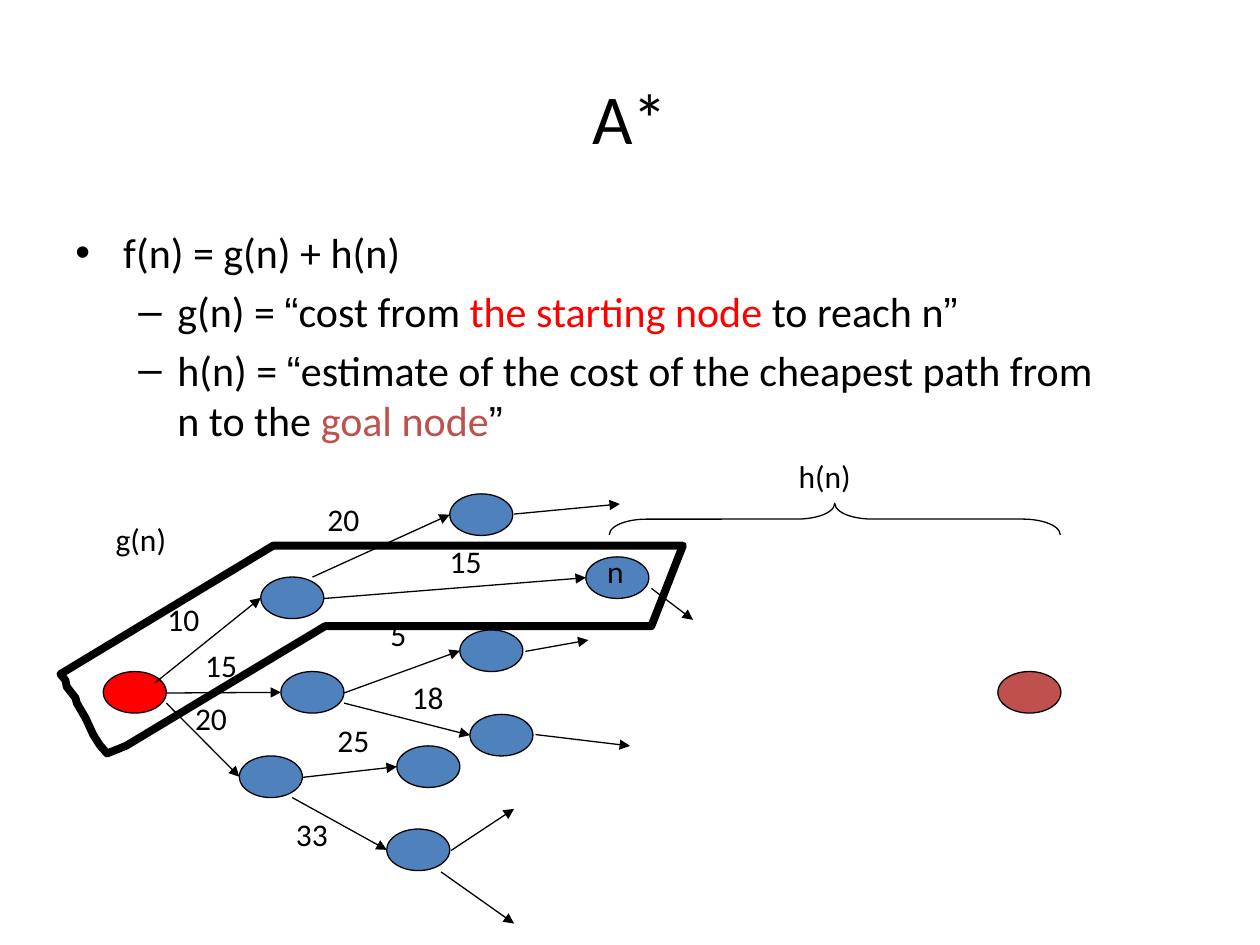
"""Build the A* slide: the cost formula above a search tree with its g(n) and h(n) parts."""
from lxml.etree import SubElement
from pptx import Presentation
from pptx.dml.color import RGBColor
from pptx.enum.shapes import MSO_CONNECTOR as Connector, MSO_SHAPE as Shape
from pptx.enum.text import MSO_ANCHOR as Anchor, PP_ALIGN as Align
from pptx.oxml.ns import qn
from pptx.util import Inches, Pt

COLORS = {"black": "000000", "red": "FF0000", "brick": "C0504D", "blue": "4F81BD"}
BODY = [
    (0, [("f(n) = g(n) + h(n)", "Calibri", "black")]),
    (1, [("g(n) = ", "Calibri", "black"), ("“", "Arial", "black"),
         ("cost from ", "Calibri", "black"), ("the starting node", "Calibri", "red"),
         (" to reach n", "Calibri", "black"), ("”", "Arial", "black")]),
    (1, [("h(n) = ", "Calibri", "black"), ("“", "Arial", "black"),
         ("estimate of the cost of the cheapest path from n to the ", "Calibri", "black"),
         ("goal node", "Calibri", "brick"), ("”", "Arial", "black")]),
]
LEVELS = [("•", 0.38, -0.38, 0), ("–", 0.81, -0.31, 4.8)]

NODE_WIDTH, NODE_HEIGHT = 0.5, 0.33
NODES = {
    "start": (0.82, 5.33, "red"),
    "goal": (7.92, 5.33, "brick"),
    "upper": (2.07, 4.58, "blue"),
    "middle": (2.23, 5.33, "blue"),
    "lower": (1.9, 6, "blue"),
    "upper top": (3.57, 3.92, "blue"),
    "n": (4.65, 4.42, "blue"),
    "middle top": (3.65, 5, "blue"),
    "middle bottom": (3.73, 5.67, "blue"),
    "lower top": (3.15, 5.92, "blue"),
    "lower bottom": (3.07, 6.58, "blue"),
}
RIGHT, LOWER_RIGHT = (0.5, 0.17), (0.5, 0.25)
EDGES = [
    ("start", (0.41, 0.09), "upper", "10", (1.23, 4.71)),
    ("start", RIGHT, "middle", "15", (1.53, 5.08)),
    ("start", LOWER_RIGHT, "lower", "20", (1.45, 5.5)),
    ("upper", (0.41, 0), "upper top", "20", (2.5, 3.92)),
    ("upper", RIGHT, "n", "15", (3.47, 4.25)),
    ("middle", RIGHT, "middle top", "5", (3, 4.83)),
    ("middle", LOWER_RIGHT, "middle bottom", "18", (3.17, 5.33)),
    ("lower", RIGHT, "lower top", "25", (2.58, 5.67)),
    ("lower", (0.42, 0.33), "lower bottom", "33", (2.25, 6.42)),
]
OPEN_EDGES = [
    ("lower bottom", (0.51, 0.17), (4.08, 6.42)),
    ("lower bottom", (0.43, 0.34), (4.08, 7.33)),
    ("middle bottom", (0.52, 0.16), (5, 5.92)),
    ("middle top", (0.52, 0.17), (4.67, 5.08)),
    ("n", (0.52, 0.25), (5.5, 4.92)),
    ("upper top", (0.51, 0.16), (4.92, 4)),
]
CAPTIONS = [("n", 4.72, 4.33, 0.37), ("g(n)", 0.82, 4.08, 0.76), ("h(n)", 6.24, 3.58, 0.76)]
PATH_OUTLINE = [
    (0.85, 5.98), (0.79, 5.91), (0.74, 5.83), (0.68, 5.7), (0.61, 5.58), (0.6, 5.54),
    (0.53, 5.45), (0.52, 5.4), (0.48, 5.35), (2.17, 4.33), (5.42, 4.33), (5.17, 4.97),
    (2.58, 4.97), (1, 5.92),
]


def color(name):
    return RGBColor.from_string(COLORS[name])


def add_run(paragraph, text, size, font="Calibri", tint="black"):
    run = paragraph.add_run()
    run.text = text
    run.font.size = Pt(size)
    run.font.name = font
    run.font.color.rgb = color(tint)


def add_text_frame(slide, left, top, width, height):
    box = slide.shapes.add_textbox(Inches(left), Inches(top), Inches(width), Inches(height))
    box.text_frame.word_wrap = True
    return box.text_frame


def add_label(slide, text, left, top, width=0.53):
    frame = add_text_frame(slide, left, top, width, 0.5)
    add_run(frame.paragraphs[0], text, 18)


def add_body(slide):
    frame = add_text_frame(slide, 0.5, 1.75, 8.5, 4.5)
    for index, (level, runs) in enumerate(BODY):
        paragraph = frame.add_paragraph() if index else frame.paragraphs[0]
        bullet, margin, indent, space = LEVELS[level]
        paragraph.level = level
        paragraph.space_before = Pt(space)
        properties = paragraph._p.get_or_add_pPr()
        properties.set("marL", str(Inches(margin)))
        properties.set("indent", str(Inches(indent)))
        SubElement(properties, qn("a:buFont"), typeface="Arial")
        SubElement(properties, qn("a:buChar"), char=bullet)
        for text, font, tint in runs:
            add_run(paragraph, text, 24, font, tint)


def style_shape(shape, fill=None, line_width=0.75):
    shape.shadow.inherit = False
    if fill:
        shape.fill.solid()
        shape.fill.fore_color.rgb = color(fill)
    else:
        shape.fill.background()
    shape.line.color.rgb = color("black")
    shape.line.width = Pt(line_width)


def add_arrow(slide, node, offset, end):
    start = [NODES[node][axis] + offset[axis] for axis in (0, 1)]
    arrow = slide.shapes.add_connector(
        Connector.STRAIGHT, *[Inches(value) for value in (*start, *end)])
    arrow.line.color.rgb = color("black")
    arrow.line.width = Pt(0.75)
    properties = arrow._element.spPr
    SubElement(properties.find(qn("a:ln")), qn("a:tailEnd"), type="triangle")
    SubElement(properties, qn("a:effectLst"))


def add_tree(slide):
    for left, top, fill in NODES.values():
        node = slide.shapes.add_shape(Shape.OVAL, Inches(left), Inches(top),
                                      Inches(NODE_WIDTH), Inches(NODE_HEIGHT))
        style_shape(node, fill)
    for source, offset, target, cost, position in EDGES:
        left, top, _ = NODES[target]
        add_arrow(slide, source, offset, (left, top + NODE_HEIGHT / 2))
        add_label(slide, cost, *position)
    for source, offset, end in OPEN_EDGES:
        add_arrow(slide, source, offset, end)


def add_cost_marks(slide):
    points = [(Inches(x), Inches(y)) for x, y in PATH_OUTLINE]
    builder = slide.shapes.build_freeform(*points[0])
    builder.add_line_segments(points[1:], close=True)
    style_shape(builder.convert_to_shape(), line_width=4.5)
    brace = slide.shapes.add_shape(Shape.LEFT_BRACE, Inches(6.5), Inches(2.33),
                                   Inches(0.25), Inches(3.58))
    brace.rotation = 90
    brace.adjustments[0] = 1.19
    style_shape(brace)
    for caption in CAPTIONS:
        add_label(slide, *caption)


def main():
    presentation = Presentation()
    presentation.slide_width, presentation.slide_height = Inches(10), Inches(7.5)
    slide = presentation.slides.add_slide(presentation.slide_layouts[6])
    title = add_text_frame(slide, 0.5, 0.3, 9, 1.25)
    title.vertical_anchor = Anchor.MIDDLE
    title.paragraphs[0].alignment = Align.CENTER
    add_run(title.paragraphs[0], "A*", 40)
    add_body(slide)
    add_tree(slide)
    add_cost_marks(slide)
    presentation.save("out.pptx")


if __name__ == "__main__":
    main()
